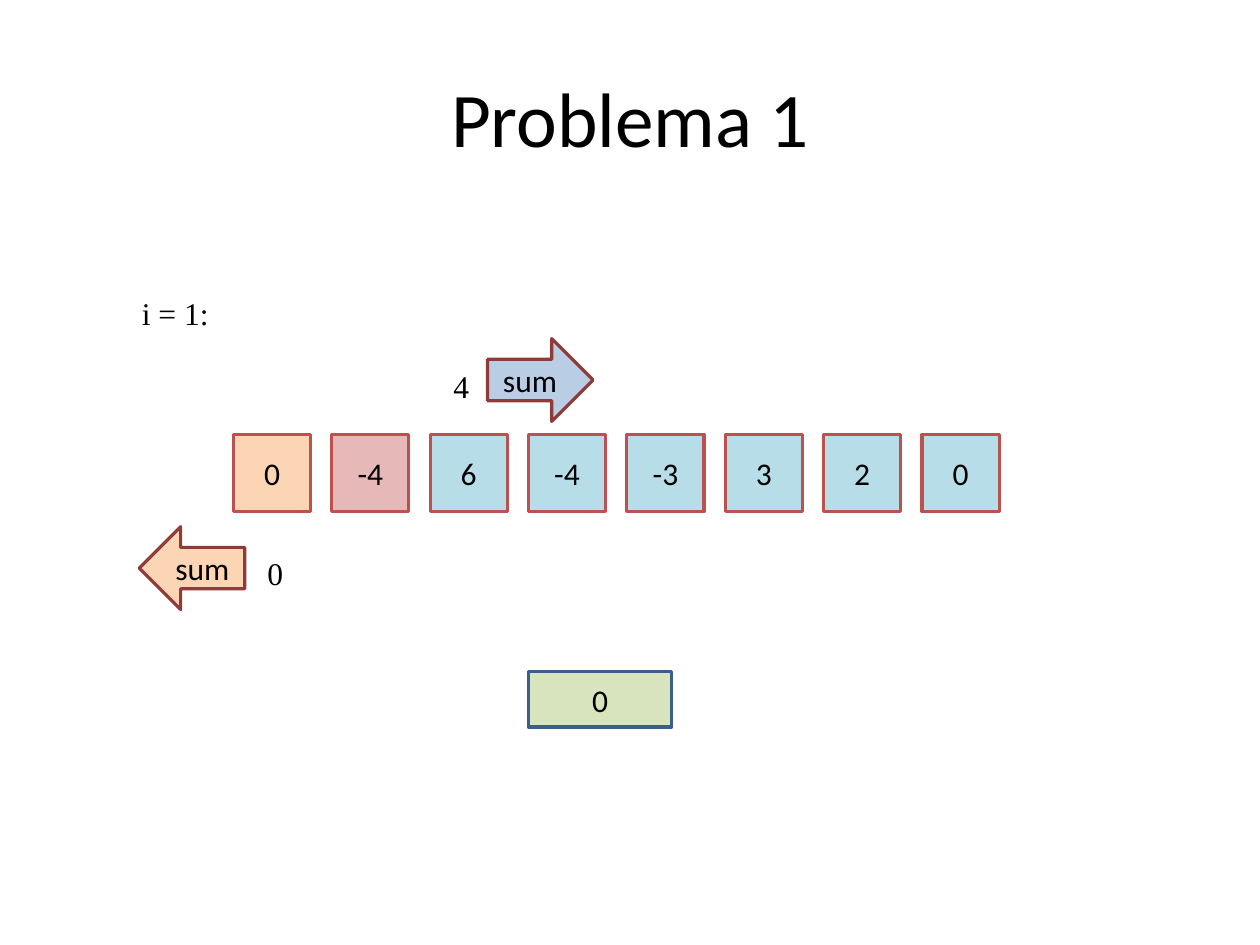
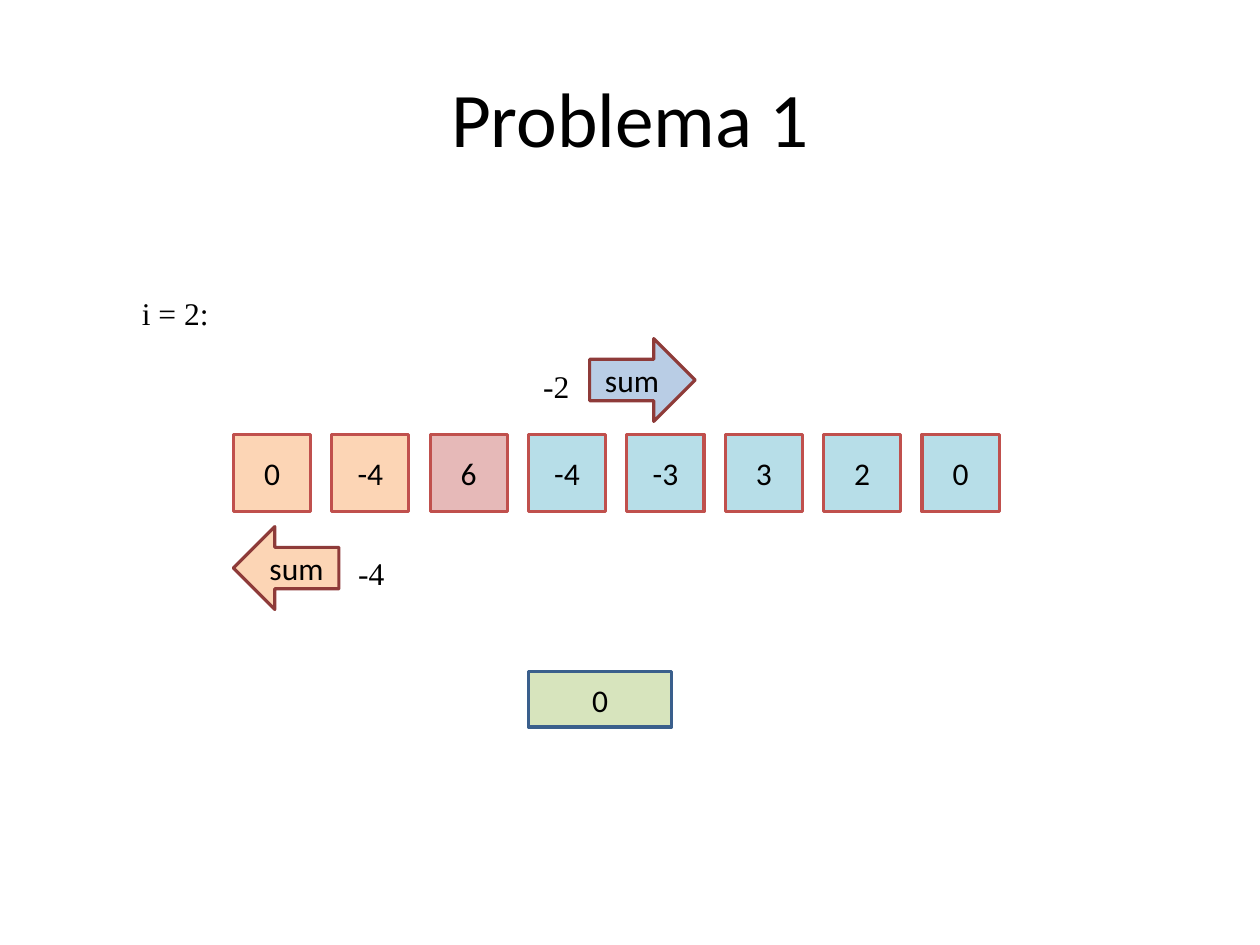
from dataclasses import dataclass

from pptx import Presentation
from pptx.dml.color import RGBColor
from pptx.enum import shapes, text
from pptx.util import Pt


@dataclass(frozen=True)
class Theme:
    """Colours, fonts and type sizes of the deck."""
    ink: str = "000000"
    before: str = "FCD5B5"
    current: str = "E6B9B8"
    after: str = "B7DEE8"
    forward: str = "B9CDE5"
    result: str = "D7E4BD"
    cell_line: str = "C0504D"
    arrow_line: str = "8E3B39"
    result_line: str = "3A5F8C"
    line_width: float = 2
    sans: str = "Calibri"
    serif: str = "Times New Roman"
    title_size: float = 49
    body_size: float = 20


@dataclass(frozen=True)
class Box:
    """A rectangle in points."""
    left: float
    top: float
    width: float
    height: float

    def lengths(self) -> tuple:
        """Return the four lengths as Pt values."""
        return Pt(self.left), Pt(self.top), Pt(self.width), Pt(self.height)


@dataclass(frozen=True)
class Step:
    """One pass of the search: its index and where the sums stand."""
    index: int
    right_arrow: float
    right_sum: Box
    left_arrow: float
    left_sum: Box


THEME = Theme()
VALUES = (0, -4, 6, -4, -3, 3, 2, 0)
CELL = Box(148.2, 275.9, 49, 49)
CELL_PITCH = 62.45
TITLE = Box(40, 24, 720, 100)
INDEX_LABEL = Box(83, 182.9, 57, 31.5)
RESULT = Box(335.5, 426.6, 91, 35)
ARROW_SIZE = (67, 52.6)
RIGHT_TOP, LEFT_TOP = 215, 334.4
RIGHT_SUM_TOP, LEFT_SUM_TOP = 229.6, 348
STEPS = (
    Step(1, 309.6, Box(280.8, RIGHT_SUM_TOP, 24.5, 31.5),
         88.4, Box(162.7, LEFT_SUM_TOP, 24.5, 31.5)),
    Step(2, 374.4, Box(337.7, RIGHT_SUM_TOP, 31.5, 31.5),
         148.2, Box(220.3, LEFT_SUM_TOP, 31.5, 31.5)),
)


def write(tf, words: str, font: str, size: float, align) -> None:
    """Set one paragraph of text and format its run."""
    tf.text = words
    p = tf.paragraphs[0]
    p.alignment = align
    r = p.runs[0]
    r.font.name = font
    r.font.size = Pt(size)
    r.font.color.rgb = RGBColor.from_string(THEME.ink)


def add_title(s, words: str) -> None:
    """Place and format the title placeholder."""
    sp = s.shapes.title
    sp.left, sp.top, sp.width, sp.height = TITLE.lengths()
    tf = sp.text_frame
    tf.auto_size = text.MSO_AUTO_SIZE.NONE
    tf.vertical_anchor = text.MSO_ANCHOR.MIDDLE
    tf.margin_left = tf.margin_right = Pt(8)
    tf.margin_top = tf.margin_bottom = Pt(4)
    write(tf, words, THEME.sans, THEME.title_size, text.PP_ALIGN.CENTER)


def add_block(s, kind, box: Box, words: str, fill: str, line: str) -> None:
    """Draw a filled, outlined shape with centred text."""
    sp = s.shapes.add_shape(kind, *box.lengths())
    sp.shadow.inherit = False
    sp.fill.solid()
    sp.fill.fore_color.rgb = RGBColor.from_string(fill)
    sp.line.color.rgb = RGBColor.from_string(line)
    sp.line.width = Pt(THEME.line_width)
    tf = sp.text_frame
    tf.vertical_anchor = text.MSO_ANCHOR.MIDDLE
    write(tf, words, THEME.sans, THEME.body_size, text.PP_ALIGN.CENTER)


def add_label(s, box: Box, words: str) -> None:
    """Draw a free-standing serif label."""
    tf = s.shapes.add_textbox(*box.lengths()).text_frame
    tf.word_wrap = False
    tf.auto_size = text.MSO_AUTO_SIZE.SHAPE_TO_FIT_TEXT
    write(tf, words, THEME.serif, THEME.body_size, text.PP_ALIGN.LEFT)


def add_cells(s, index: int) -> None:
    """Draw the array, coloured by position relative to the index."""
    for i, value in enumerate(VALUES):
        if i < index:
            fill = THEME.before
        elif i == index:
            fill = THEME.current
        else:
            fill = THEME.after
        box = Box(CELL.left + i * CELL_PITCH, CELL.top, CELL.width, CELL.height)
        add_block(s, shapes.MSO_SHAPE.RECTANGLE, box, str(value), fill,
                  THEME.cell_line)


def add_step(prs, step: Step) -> None:
    """Build the slide for one step."""
    s = prs.slides.add_slide(prs.slide_layouts[5])
    add_title(s, "Problema 1")
    add_cells(s, step.index)
    add_label(s, INDEX_LABEL, f"i = {step.index}:")
    add_block(s, shapes.MSO_SHAPE.RIGHT_ARROW,
              Box(step.right_arrow, RIGHT_TOP, *ARROW_SIZE), "sum",
              THEME.forward, THEME.arrow_line)
    add_label(s, step.right_sum, str(sum(VALUES[step.index + 1:])))
    add_block(s, shapes.MSO_SHAPE.LEFT_ARROW,
              Box(step.left_arrow, LEFT_TOP, *ARROW_SIZE), "sum",
              THEME.before, THEME.arrow_line)
    add_label(s, step.left_sum, str(sum(VALUES[:step.index])))
    add_block(s, shapes.MSO_SHAPE.RECTANGLE, RESULT, "0", THEME.result,
              THEME.result_line)


def main() -> None:
    """Build and save the deck."""
    prs = Presentation()
    prs.slide_width, prs.slide_height = Pt(800), Pt(600)
    for step in STEPS:
        add_step(prs, step)
    prs.save("out.pptx")


main()
